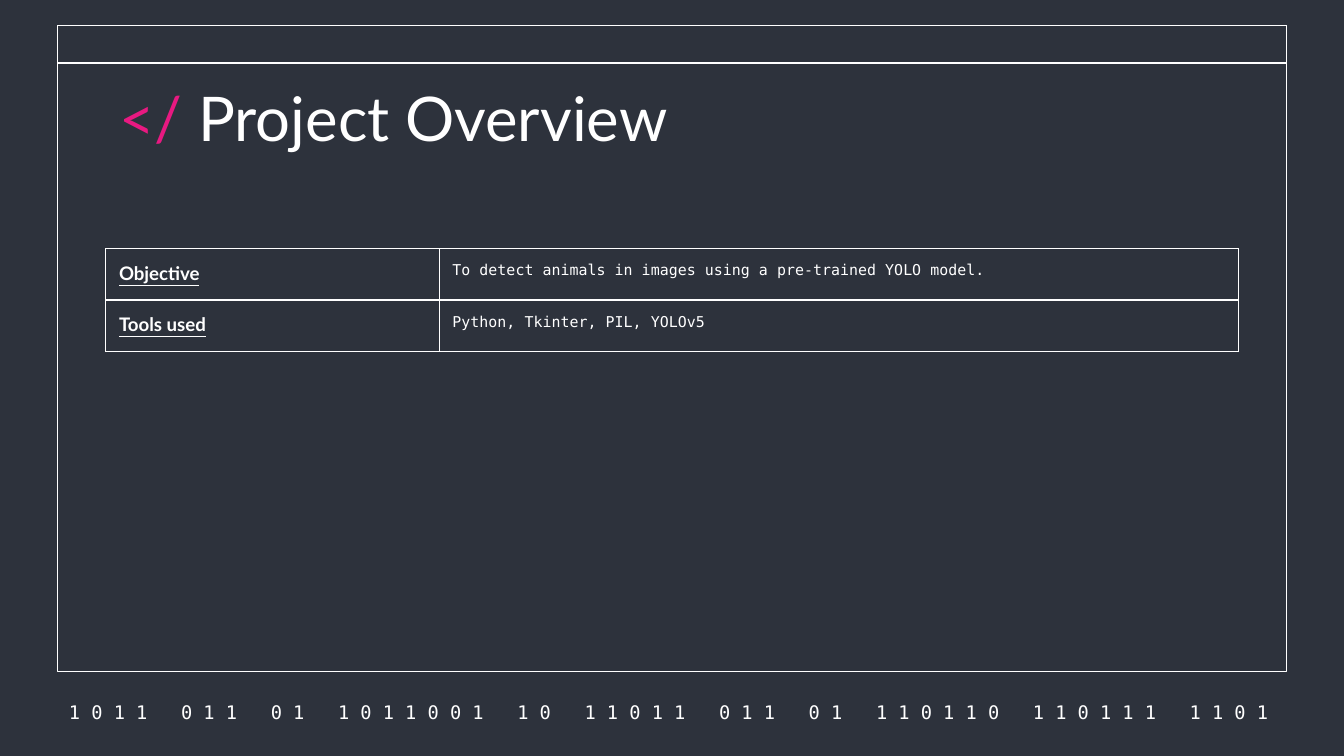
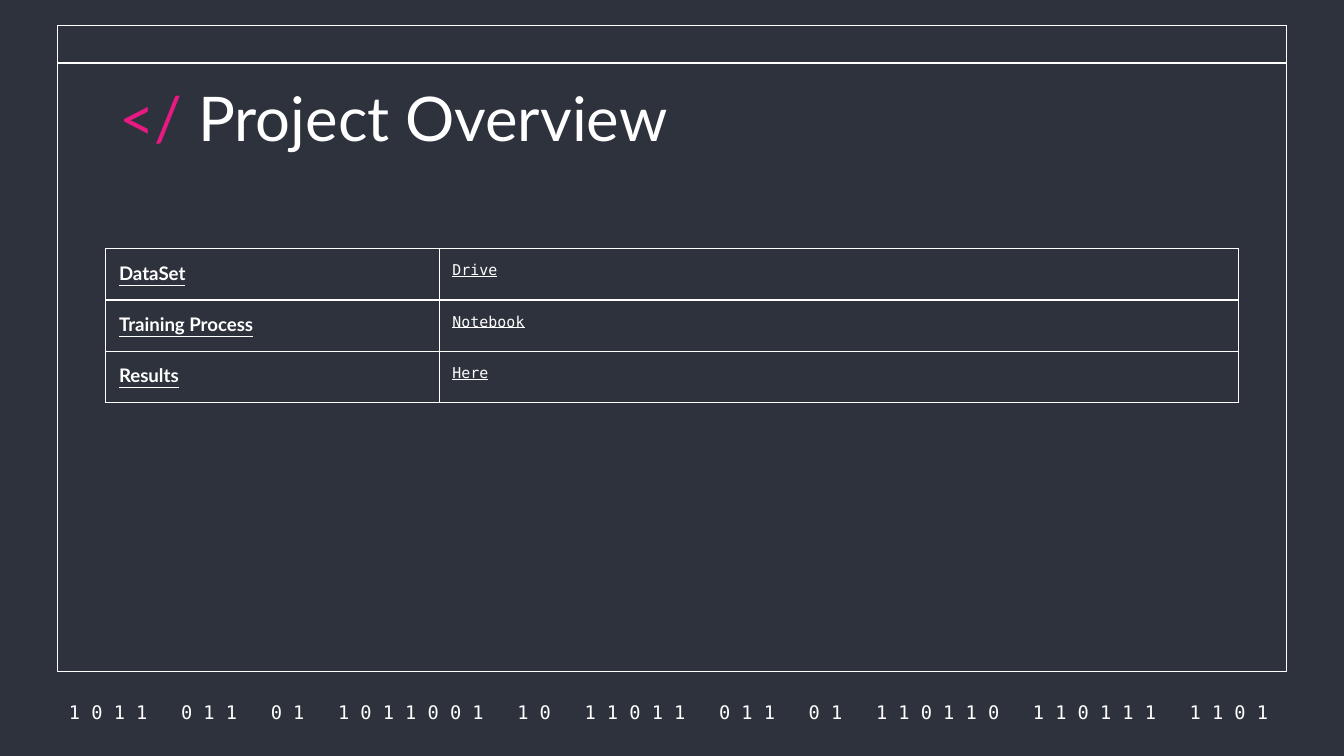
from dataclasses import dataclass

from lxml.etree import SubElement
from pptx import Presentation
from pptx.dml.color import RGBColor
from pptx.enum.shapes import MSO_SHAPE
from pptx.enum.text import MSO_ANCHOR, PP_ALIGN
from pptx.oxml.ns import qn
from pptx.util import Cm, Pt


@dataclass(frozen=True)
class Theme:
    background: RGBColor = RGBColor(0x2D, 0x32, 0x3C)
    foreground: RGBColor = RGBColor(0xFF, 0xFF, 0xFF)
    accent: RGBColor = RGBColor(0xE8, 0x19, 0x81)
    heading_font: str = "Lato"
    code_font: str = "DejaVu Sans Mono"
    title_size: Pt = Pt(33)
    label_size: Pt = Pt(10)
    detail_size: Pt = Pt(8)
    line_width: Pt = Pt(0.75)
    inset: Cm = Cm(0.25)
    detail_space: Pt = Pt(16)
    digit_gap: Pt = Pt(12.04)


BINARY_GROUPS = "1011 011 01 1011001 10 11011 011 01 110110 110111 1101".split()
COLUMN_WIDTHS = Cm(6.3), Cm(15.1)
ROW_HEIGHT = Cm(0.97)

OVERVIEWS = [
    [
        ("Objective", "To detect animals in images using a pre-trained YOLO model."),
        ("Tools used", "Python, Tkinter, PIL, YOLOv5"),
    ],
    [
        ("DataSet", "Drive"),
        ("Training Process", "Notebook"),
        ("Results", "Here"),
    ],
]


class Deck:
    def __init__(self, theme):
        self.theme = theme
        self.presentation = Presentation()
        self.presentation.slide_width = Cm(25.4)
        self.presentation.slide_height = Cm(14.29)
        self.slide = None

    def add_slide(self):
        layout = self.presentation.slide_layouts[6]
        self.slide = self.presentation.slides.add_slide(layout)
        fill = self.slide.background.fill
        fill.solid()
        fill.fore_color.rgb = self.theme.background
        for height in (Cm(12.22), Cm(0.71)):
            self.add_frame(height)
        self.add_binary_footer()

    def add_frame(self, height):
        shape = self.slide.shapes.add_shape(
            MSO_SHAPE.RECTANGLE, Cm(1.09), Cm(0.48), Cm(23.22), height
        )
        shape.shadow.inherit = False
        shape.fill.solid()
        shape.fill.fore_color.rgb = self.theme.background
        shape.line.color.rgb = self.theme.foreground
        shape.line.width = self.theme.line_width

    def add_text_box(self, left, top, width, height, anchor):
        shape = self.slide.shapes.add_textbox(left, top, width, height)
        text_frame = shape.text_frame
        text_frame.word_wrap = True
        text_frame.vertical_anchor = anchor
        text_frame.margin_left = text_frame.margin_right = self.theme.inset
        text_frame.margin_top = text_frame.margin_bottom = self.theme.inset
        return text_frame.paragraphs[0]

    def style_font(self, font, name, size, color=None):
        font.name = name
        font.size = size
        font.color.rgb = color or self.theme.foreground

    def add_run(self, paragraph, text, name, size, color=None):
        run = paragraph.add_run()
        run.text = text
        self.style_font(run.font, name, size, color)
        return run

    def add_binary_footer(self):
        theme = self.theme
        paragraph = self.add_text_box(
            Cm(0.86), Cm(13.21), Cm(23.55), Cm(0.51), MSO_ANCHOR.MIDDLE
        )
        paragraph.alignment = PP_ALIGN.CENTER
        for index, group in enumerate(BINARY_GROUPS):
            if index:
                gap = self.add_run(paragraph, " ", theme.code_font, theme.label_size)
                spacing = round(theme.digit_gap.pt * 100)
                gap.font._element.set("spc", str(spacing))
            self.add_run(paragraph, " ".join(group), theme.code_font, theme.label_size)

    def add_title(self, text):
        theme = self.theme
        paragraph = self.add_text_box(
            Cm(2), Cm(1.27), Cm(21.4), Cm(1.6), MSO_ANCHOR.TOP
        )
        for part, color in (("</", theme.accent), (f" {text}", theme.foreground)):
            self.add_run(paragraph, part, theme.heading_font, theme.title_size, color)

    def add_table(self, rows):
        table = self.slide.shapes.add_table(
            len(rows), len(COLUMN_WIDTHS), Cm(2), Cm(4.7),
            sum(COLUMN_WIDTHS), ROW_HEIGHT * len(rows),
        ).table
        table.first_row = table.horz_banding = False
        for column, width in zip(table.columns, COLUMN_WIDTHS):
            column.width = width
        for row_index, (label, detail) in enumerate(rows):
            table.rows[row_index].height = ROW_HEIGHT
            self.fill_label(table.cell(row_index, 0), label)
            self.fill_detail(table.cell(row_index, 1), detail, detail_is_link(rows))

    def prepare_cell(self, cell, text):
        cell.margin_left = cell.margin_right = self.theme.inset
        cell.margin_top = cell.margin_bottom = self.theme.inset
        self.add_borders(cell)
        cell.fill.background()
        paragraph = cell.text_frame.paragraphs[0]
        paragraph.text = text
        return paragraph

    def add_borders(self, cell):
        properties = cell._tc.get_or_add_tcPr()
        for side in ("a:lnL", "a:lnR", "a:lnT", "a:lnB"):
            line = SubElement(properties, qn(side), w=str(self.theme.line_width))
            fill = SubElement(line, qn("a:solidFill"))
            SubElement(fill, qn("a:srgbClr"), val=str(self.theme.foreground))

    def fill_label(self, cell, text):
        font = self.prepare_cell(cell, text).runs[0].font
        self.style_font(font, self.theme.heading_font, self.theme.label_size)
        font.bold = True
        font.underline = True

    def fill_detail(self, cell, text, underline):
        paragraph = self.prepare_cell(cell, text)
        paragraph.space_after = self.theme.detail_space
        font = paragraph.runs[0].font
        self.style_font(font, self.theme.code_font, self.theme.detail_size)
        font.underline = underline


def detail_is_link(rows):
    return all(" " not in detail for _, detail in rows)


def main():
    deck = Deck(Theme())
    for rows in OVERVIEWS:
        deck.add_slide()
        deck.add_title("Project Overview")
        deck.add_table(rows)
    deck.presentation.save("out.pptx")


if __name__ == "__main__":
    main()
